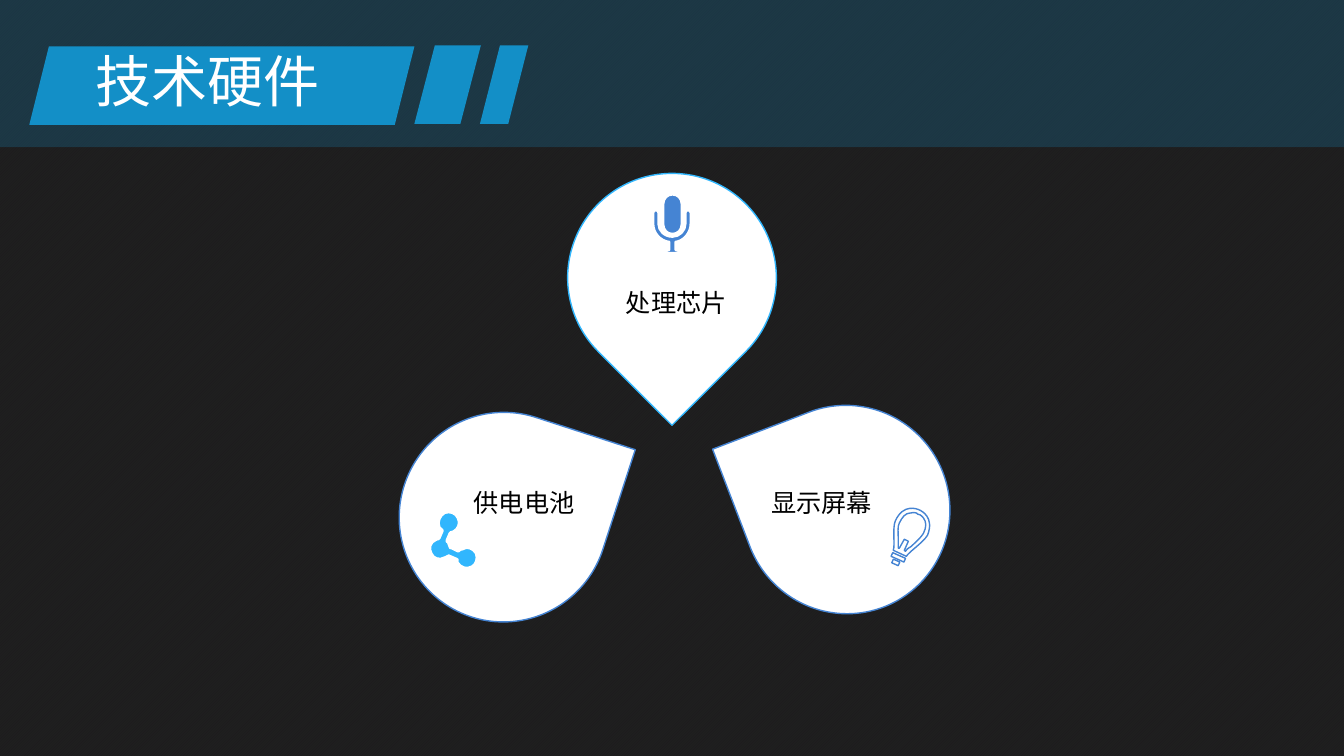
from lxml.etree import SubElement
from pptx import Presentation
from pptx.dml.color import RGBColor
from pptx.enum.dml import MSO_PATTERN
from pptx.enum.shapes import MSO_SHAPE
from pptx.enum.text import MSO_AUTO_SIZE
from pptx.oxml.ns import qn
from pptx.util import Inches, Pt

WHITE = RGBColor(0xFF, 0xFF, 0xFF)
BLACK = RGBColor(0x00, 0x00, 0x00)
BANNER_BLUE = RGBColor(0x15, 0x9F, 0xDD)
TITLE_BLUE = RGBColor(0x13, 0x8F, 0xC7)
SKY_BLUE = RGBColor(0x31, 0xB6, 0xFD)
ICON_BLUE = RGBColor(0x45, 0x84, 0xD3)
PATTERN_FRONT = RGBColor(0xBF, 0xBF, 0xBF)
PATTERN_BACK = RGBColor(0xDD, 0xDC, 0xE2)

FONT = "Noto Sans CJK SC"
WIDTH, HEIGHT = 13.33, 7.5

# box, fill, opacity in percent
BACKDROPS = [
    ((0, 0, WIDTH, HEIGHT), BLACK, 86),
    ((0, 0, WIDTH, 1.46), BANNER_BLUE, 20),
]
TITLE_BAR = (0.29, 0.46, 3.82, 0.78)
TITLE = ("技术硬件", (0.85, 0.41, 2.45, 0.77), 40, WHITE, False)
# box, slant
TITLE_STRIPES = [
    ((4.11, 0.45, 0.66, 0.78), 0.308),
    ((4.76, 0.45, 0.48, 0.78), 0.415),
]
# text, box, size, color, wrap
LABELS = [
    ("处理芯片", (6.11, 2.8, 1.44, 0.4), 18, BLACK, True),
    ("供电电池", (4.6, 4.79, 1.44, 0.4), 18, BLACK, True),
    ("显示屏幕", (7.55, 4.79, 1.44, 0.4), 18, BLACK, True),
]

# Outlines: two numbers are a corner, six numbers are a Bézier curve
MICROPHONE_STAND = [
    (6.85, 2.22), (6.85, 2.11), (6.85, 2.08, 6.8, 2.08, 6.8, 2.11), (6.8, 2.22),
    (6.8, 2.29, 6.74, 2.35, 6.67, 2.35), (6.59, 2.35, 6.53, 2.29, 6.53, 2.22),
    (6.53, 2.11), (6.53, 2.08, 6.48, 2.08, 6.48, 2.11), (6.48, 2.22),
    (6.48, 2.31, 6.55, 2.39, 6.64, 2.4), (6.64, 2.48), (6.53, 2.51),
    (6.81, 2.51), (6.7, 2.48), (6.7, 2.4), (6.78, 2.39, 6.85, 2.31, 6.85, 2.22),
]
MICROPHONE_HEAD = [
    (6.67, 2.32), (6.72, 2.32, 6.76, 2.28, 6.76, 2.23), (6.76, 2.02),
    (6.76, 1.97, 6.72, 1.93, 6.67, 1.93), (6.62, 1.93, 6.58, 1.97, 6.58, 2.02),
    (6.58, 2.23), (6.58, 2.28, 6.62, 2.32, 6.67, 2.32),
]
BULB_GLASS = [
    (9.12, 5.06), (9.1, 5.05, 8.96, 4.99, 8.88, 5.17),
    (8.85, 5.24, 8.88, 5.42, 8.86, 5.46), (8.99, 5.52),
    (9.01, 5.48, 9.16, 5.38, 9.2, 5.31), (9.27, 5.13, 9.14, 5.07, 9.12, 5.06),
]
BULB_INSIDE = [
    (8.98, 5.47), (8.97, 5.46), (9.01, 5.37), (8.97, 5.35), (8.92, 5.44), (8.91, 5.44),
    (8.91, 5.42, 8.91, 5.39, 8.91, 5.36), (8.91, 5.3, 8.9, 5.22, 8.92, 5.19),
    (8.95, 5.13, 8.98, 5.09, 9.03, 5.09), (9.07, 5.08, 9.1, 5.09, 9.1, 5.1),
    (9.11, 5.1, 9.14, 5.11, 9.16, 5.14), (9.19, 5.18, 9.19, 5.23, 9.16, 5.29),
    (9.14, 5.33, 9.08, 5.38, 9.04, 5.42), (9.01, 5.44, 8.99, 5.45, 8.98, 5.47),
]
LINKED_NODES = [
    (4.59, 5.45), (4.57, 5.45, 4.56, 5.46, 4.56, 5.46),
    (4.56, 5.47, 4.55, 5.47, 4.54, 5.47), (4.48, 5.44),
    (4.47, 5.44, 4.46, 5.44, 4.46, 5.43), (4.46, 5.43, 4.46, 5.42, 4.45, 5.4),
    (4.45, 5.39, 4.44, 5.38, 4.44, 5.38), (4.43, 5.38, 4.43, 5.37, 4.43, 5.36),
    (4.46, 5.29), (4.47, 5.28), (4.47, 5.28, 4.48, 5.28, 4.5, 5.27),
    (4.54, 5.25, 4.57, 5.19, 4.54, 5.14), (4.52, 5.09, 4.46, 5.07, 4.41, 5.09),
    (4.36, 5.12, 4.34, 5.18, 4.36, 5.23), (4.37, 5.24, 4.38, 5.25, 4.38, 5.25),
    (4.39, 5.25, 4.39, 5.26, 4.39, 5.27), (4.36, 5.34), (4.35, 5.35),
    (4.35, 5.35, 4.33, 5.35, 4.32, 5.36), (4.27, 5.38, 4.25, 5.44, 4.28, 5.49),
    (4.3, 5.54, 4.36, 5.56, 4.41, 5.53), (4.42, 5.53, 4.43, 5.52, 4.43, 5.52),
    (4.44, 5.52, 4.45, 5.51, 4.45, 5.51), (4.52, 5.54),
    (4.53, 5.54, 4.53, 5.55, 4.54, 5.55), (4.54, 5.55, 4.54, 5.57, 4.54, 5.58),
    (4.57, 5.63, 4.63, 5.65, 4.68, 5.62), (4.72, 5.6, 4.74, 5.54, 4.72, 5.49),
    (4.69, 5.44, 4.63, 5.42, 4.59, 5.45),
]
# outlines, fill, line, line width
MICROPHONE = [
    ([MICROPHONE_STAND], ICON_BLUE, WHITE, 1.5),
    ([MICROPHONE_HEAD], ICON_BLUE, WHITE, 1.5),
]
BULB = [([BULB_GLASS, BULB_INSIDE], WHITE, ICON_BLUE, 1)]
NODES = [([LINKED_NODES], SKY_BLUE, WHITE, 1.5)]
BULB_TILT = 24
BULB_BASES = [(8.84, 5.51, 0.14, 0.04), (8.85, 5.56, 0.07, 0.04)]
# box, rotation, flips, outline, icon, bases under the icon
PETALS = [
    ((5.63, 1.72, 2.07, 2.07), 135, [], SKY_BLUE, MICROPHONE, []),
    ((7.37, 4.02, 2.05, 2.07), 159, ["flipV"], ICON_BLUE, BULB, BULB_BASES),
    ((3.96, 4.09, 2.07, 2.08), 198, ["flipH", "flipV"], ICON_BLUE, NODES, []),
]


def paint(shape, fill, line=None, line_width=1):
    shape.shadow.inherit = False
    shape.fill.solid()
    shape.fill.fore_color.rgb = fill
    if line is None:
        shape.line.fill.background()
    else:
        shape.line.color.rgb = line
        shape.line.width = Pt(line_width)


def add_preset(shapes, preset, box, fill, line=None, rotation=0):
    shape = shapes.add_shape(preset, *map(Inches, box))
    shape.rotation = rotation
    paint(shape, fill, line)
    return shape


def add_icon(shapes, outlines, fill, line, line_width):
    """Join the ends of all segments, then bend the curved ones."""
    builder = None
    for outline in outlines:
        ends = [tuple(map(Inches, segment[-2:])) for segment in outline]
        if builder is None:
            builder = shapes.build_freeform(*ends[0])
        else:
            builder.move_to(*ends[0])
        builder.add_line_segments(ends[1:], close=True)
    shape = builder.convert_to_shape()
    paint(shape, fill, line, line_width)
    segments = [segment for outline in outlines for segment in outline[1:]]
    straight_lines = list(shape._element.iter(qn("a:lnTo")))
    for element, segment in zip(straight_lines, segments):
        if len(segment) == 6:
            element.tag = qn("a:cubicBezTo")
            for index, (x, y) in enumerate((segment[:2], segment[2:4])):
                point = SubElement(element, qn("a:pt"), x=str(Inches(x) - shape.left),
                                   y=str(Inches(y) - shape.top))
                element.insert(index, point)


def add_text(shapes, text, box, size, color, wrap):
    frame = shapes.add_textbox(*map(Inches, box)).text_frame
    frame.word_wrap = wrap
    frame.auto_size = MSO_AUTO_SIZE.SHAPE_TO_FIT_TEXT
    run = frame.paragraphs[0].add_run()
    run.text = text
    run.font.color.rgb = color
    for name, value in {"size": Pt(size), "name": FONT}.items():
        setattr(run.font, name, value)
    SubElement(run._r.get_or_add_rPr(), qn("a:ea"), typeface=FONT)


def main():
    presentation = Presentation()
    presentation.slide_width, presentation.slide_height = Inches(WIDTH), Inches(HEIGHT)
    slide = presentation.slides.add_slide(presentation.slide_layouts[6])
    background = slide.background.fill
    background.patterned()
    background.pattern = MSO_PATTERN.LIGHT_UPWARD_DIAGONAL
    background.fore_color.rgb = PATTERN_FRONT
    background.back_color.rgb = PATTERN_BACK

    for box, color, opacity in BACKDROPS:
        backdrop = add_preset(slide.shapes, MSO_SHAPE.RECTANGLE, box, color)
        color_element = backdrop._element.spPr.find(".//" + qn("a:srgbClr"))
        SubElement(color_element, qn("a:alpha"), val=str(opacity * 1000))
    title_group = slide.shapes.add_group_shape().shapes
    add_preset(title_group, MSO_SHAPE.PARALLELOGRAM, TITLE_BAR, TITLE_BLUE)
    add_text(title_group, *TITLE)
    for box, slant in TITLE_STRIPES:
        stripe = add_preset(slide.shapes, MSO_SHAPE.PARALLELOGRAM, box, TITLE_BLUE)
        stripe.adjustments[0] = slant
    for box, rotation, flips, line, icon, bases in PETALS:
        petal_group = slide.shapes.add_group_shape().shapes
        petal = add_preset(petal_group, MSO_SHAPE.TEAR, box, WHITE, line, rotation)
        for flip in flips:
            petal._element.spPr.find(qn("a:xfrm")).set(flip, "1")
        for part in icon:
            add_icon(petal_group, *part)
        for base in bases:
            add_preset(petal_group, MSO_SHAPE.RECTANGLE, base, WHITE, ICON_BLUE, BULB_TILT)
    for label in LABELS:
        add_text(slide.shapes, *label)
    presentation.save("out.pptx")


if __name__ == "__main__":
    main()
